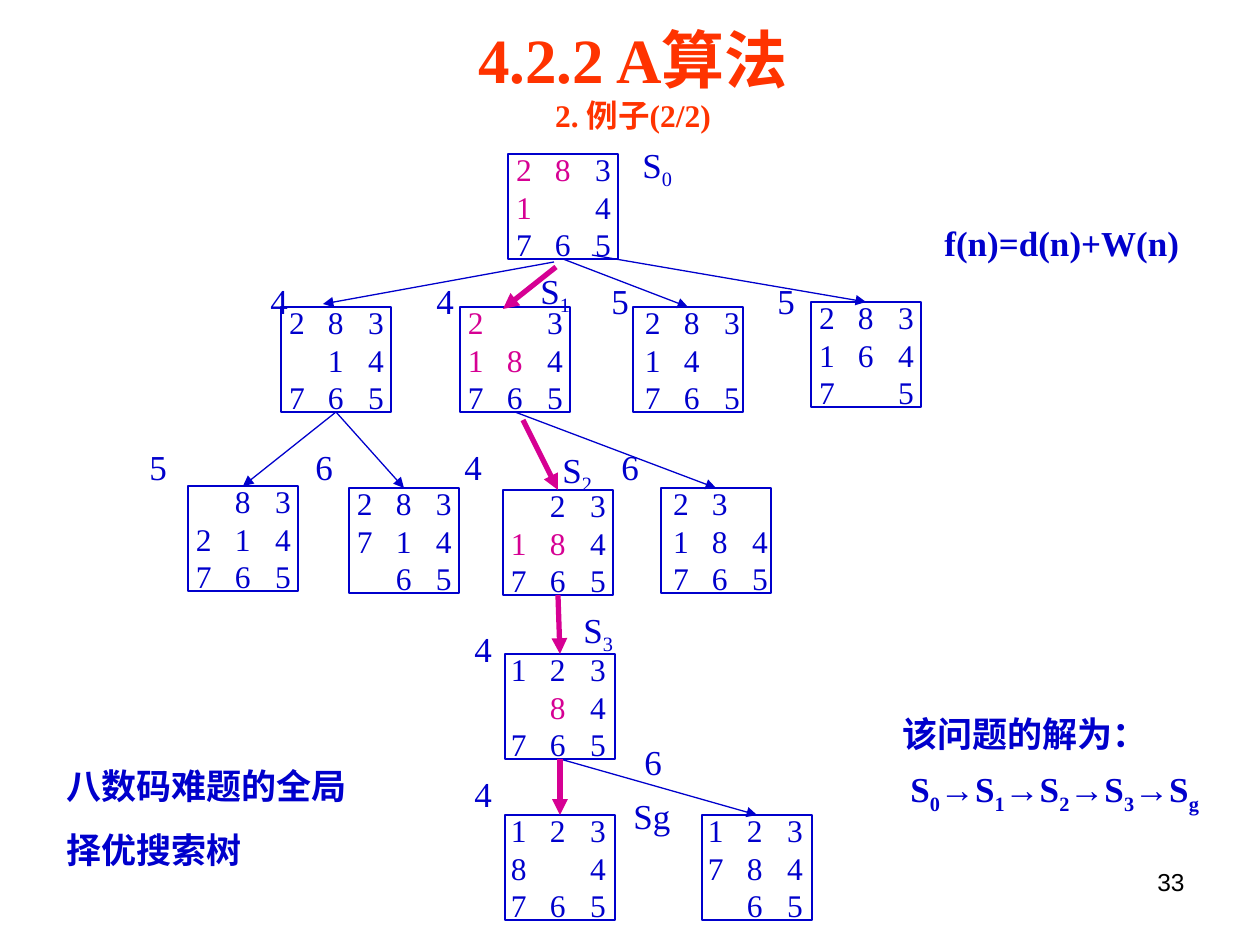
from lxml import etree
from pptx import Presentation
from pptx.dml.color import RGBColor
from pptx.enum.shapes import MSO_CONNECTOR, MSO_SHAPE
from pptx.enum.text import MSO_ANCHOR, PP_ALIGN
from pptx.oxml.ns import qn
from pptx.util import Inches, Pt

PX = Inches(1) / 126
BLUE = RGBColor(0x00, 0x00, 0xCC)
MAGENTA = RGBColor(0xD6, 0x00, 0x93)
ORANGE = RGBColor(0xFF, 0x33, 0x00)
BLACK = RGBColor(0, 0, 0)
SERIF = "Times New Roman"
RECTANGLE = MSO_SHAPE.RECTANGLE
STRAIGHT = MSO_CONNECTOR.STRAIGHT
TOP, MIDDLE = MSO_ANCHOR.TOP, MSO_ANCHOR.MIDDLE
CENTER, LEFT, RIGHT = PP_ALIGN.CENTER, PP_ALIGN.LEFT, PP_ALIGN.RIGHT
BOARD_WIDTH, BOARD_HEIGHT = 110, 105
TOP_SIDE, BOTTOM_SIDE = 0, 2

deck = Presentation()
deck.slide_width, deck.slide_height = Inches(10), Inches(7.5)
page = deck.slides.add_slide(deck.slide_layouts[5])


def set_tabs(para, stops):
    tab_list = etree.SubElement(para._p.get_or_add_pPr(), qn("a:tabLst"))
    for stop in stops:
        etree.SubElement(tab_list, qn("a:tab"), pos=str(int(stop * PX)), algn="l")


def add_text(place, lines, bold=False, stops=()):
    """Add a 20 pt text box; the character after each "_" is a subscript."""
    box = page.shapes.add_textbox(*(int(length * PX) for length in place))
    frame = box.text_frame
    frame.word_wrap = True
    frame.text = "\n".join(lines)
    for para, line in zip(frame.paragraphs, lines):
        if stops:
            set_tabs(para, stops)
        first, *others = line.split("_")
        para.text = first
        for part in others:
            sub = para.add_run()
            sub.text = part[0]
            sub._r.get_or_add_rPr().set("baseline", "-25000")
            if part[1:]:
                para.add_run().text = part[1:]
        for span in para.runs:
            span.font.name, span.font.size = SERIF, Pt(20)
            span.font.bold = bold
            span.font.color.rgb = BLUE
    return frame


# Title
title = page.shapes.title
title.left, title.top = int(18 * PX), int(14 * PX)
title.width, title.height = int(1230 * PX), int(126 * PX)
title.text_frame.text = "4.2.2 A算法\n2. 例子(2/2)"
title.text_frame.vertical_anchor = TOP
for para, size in zip(title.text_frame.paragraphs, (36, 18)):
    para.alignment = CENTER
    font = para.runs[0].font
    font.name, font.size, font.bold = SERIF, Pt(size), True
    font.color.rgb = ORANGE

# Boards: name, left, top, left margin, rows, highlighted tiles
boards = {}
for name, left, top, margin, rows, moved in (
    ("S0", 508, 154, 8, ("283", "1 4", "765"), "281"),
    ("left", 281, 307, 8, ("283", " 14", "765"), ""),
    ("S1", 460, 307, 8, ("2 3", "184", "765"), "281"),
    ("right", 633, 307, 12, ("283", "14", "765"), ""),
    ("far right", 811, 302, 8, ("283", "164", "7 5"), ""),
    ("left a", 188, 486, 8, (" 83", "214", "765"), ""),
    ("left b", 349, 488, 8, ("283", "714", " 65"), ""),
    ("S2", 503, 490, 8, (" 23", "184", "765"), "18"),
    ("S1 b", 661, 488, 12, ("23", "184", "765"), ""),
    ("S3", 505, 654, 6, ("123", " 84", "765"), "8"),
    ("Sg", 505, 815, 6, ("123", "8 4", "765"), ""),
    ("S3 b", 702, 815, 6, ("123", "784", " 65"), ""),
):
    board = page.shapes.add_shape(RECTANGLE, int(left * PX), int(top * PX),
                                  int(BOARD_WIDTH * PX), int(BOARD_HEIGHT * PX))
    board.shadow.inherit = False
    board.fill.background()
    board.line.color.rgb = BLUE
    board.line.width = Pt(0.75)
    frame = board.text_frame
    frame.word_wrap = False
    frame.vertical_anchor = MIDDLE
    frame.margin_left = int(margin * PX)
    frame.margin_right = frame.margin_top = frame.margin_bottom = 0
    frame.text = "\n".join(rows)
    for para, row in zip(frame.paragraphs, rows):
        para.text = ""
        para.alignment = LEFT
        para.line_spacing = Pt(21.5)
        set_tabs(para, (39, 79))
        for column, tile in enumerate(row):
            span = para.add_run()
            span.text = ("\t" if column else "") + tile.strip()
            span.font.name, span.font.size = SERIF, Pt(18)
            span.font.color.rgb = MAGENTA if tile in moved else BLUE
    boards[name] = board

# Arrows: an end is either a board, joined at its side, or a free point
for start, end, color, weight in (
    ((554, 262), (323, 304), BLUE, 0.75),
    ((556, 267), (503, 309), MAGENTA, 3),
    ("S0", "right", BLUE, 0.75),
    ((592, 255), "far right", BLUE, 0.75),
    ("left", "left a", BLUE, 0.75),
    ("left", "left b", BLUE, 0.75),
    ((523, 420), "S2", MAGENTA, 3),
    ("S1", "S1 b", BLUE, 0.75),
    ("S2", "S3", MAGENTA, 3),
    ("S3", "S3 b", BLUE, 0.75),
    ("S3", "Sg", MAGENTA, 3),
):
    x1, y1 = (0, 0) if start in boards else start
    x2, y2 = (0, 0) if end in boards else end
    arrow = page.shapes.add_connector(STRAIGHT, *(int(v * PX) for v in (x1, y1, x2, y2)))
    if start in boards:
        arrow.begin_connect(boards[start], BOTTOM_SIDE)
    if end in boards:
        arrow.end_connect(boards[end], TOP_SIDE)
    arrow.line.color.rgb = color
    arrow.line.width = Pt(weight)
    etree.SubElement(arrow.line._get_or_add_ln(), qn("a:tailEnd"), type="triangle")
    etree.SubElement(arrow._element.spPr, qn("a:effectLst"))

# Costs of the two wide levels, then single costs and state names
add_text((258, 273, 561, 55), ["4\t4\t5\t5"], stops=(166, 341, 507))
add_text((137, 439, 544, 55), ["5\t6\t4\t6"], stops=(166, 315, 472))
for label, left, top in (
    ("4", 462, 621), ("4", 462, 766), ("6", 632, 734), ("Sg", 621, 788),
    ("S_0", 630, 137), ("S_1", 528, 263), ("S_2", 550, 442), ("S_3", 571, 602),
):
    add_text((left, top, 64, 60), [label])

# Captions
add_text((932, 215, 270, 55), ["f(n)=d(n)+W(n)"], bold=True)
caption = add_text((54, 758, 319, 118), ["八数码难题的全局", "择优搜索树"], bold=True)
caption.paragraphs[1].space_before = Pt(12.5)
solution = add_text((890, 702, 343, 121),
                    ["该问题的解为:".replace(":", "："), "S_0→S_1→S_2→S_3→S_g"], bold=True)
for para in solution.paragraphs:
    para.line_spacing = 1.1
solution.paragraphs[1].space_before = Pt(5)
solution.paragraphs[1]._p.get_or_add_pPr().set("marL", str(int(8 * PX)))

# Slide number
number = add_text((903, 861, 294, 66), ["33"])
number.paragraphs[0].alignment = RIGHT
font = number.paragraphs[0].runs[0].font
font.name, font.size = "Arial", Pt(14)
font.color.rgb = BLACK

deck.save("out.pptx")
